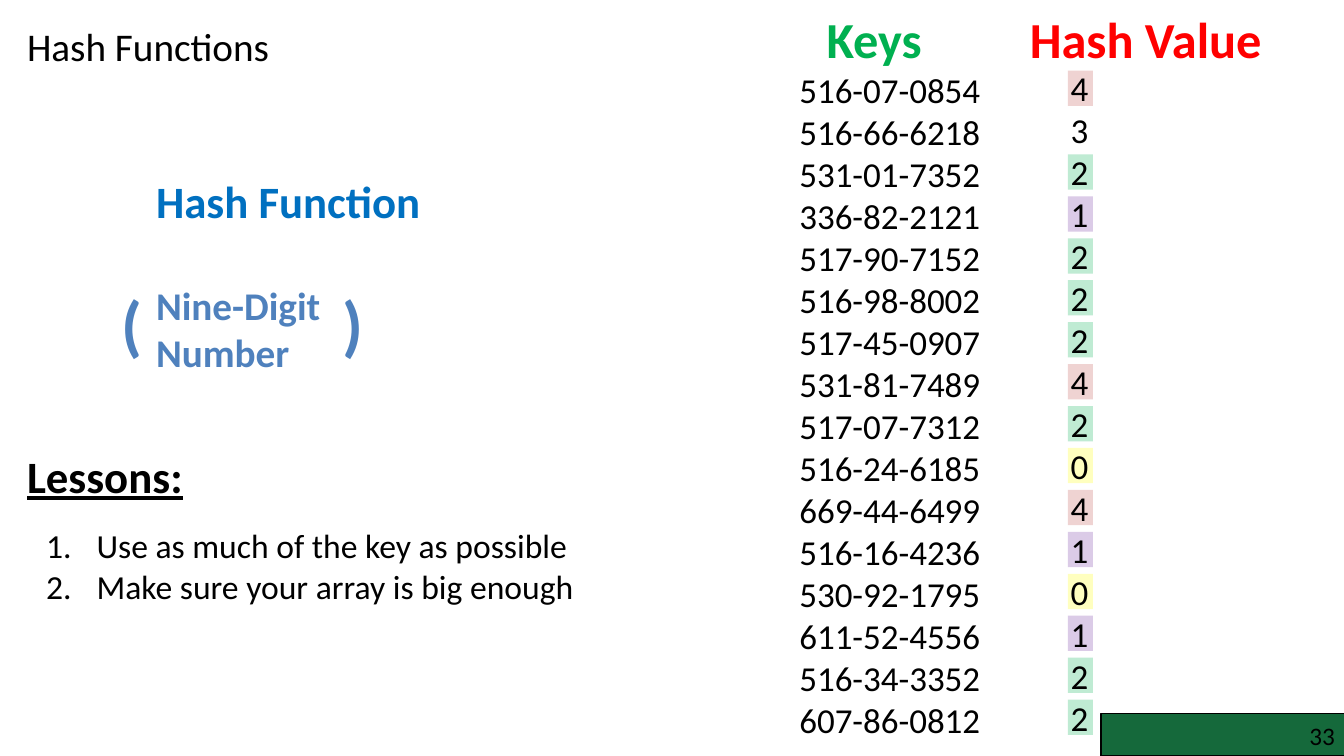
"""Build a slide on hash functions with keys and their hash values."""
from dataclasses import dataclass

from lxml.etree import SubElement
from pptx import Presentation
from pptx.dml.color import RGBColor
from pptx.enum.shapes import MSO_SHAPE
from pptx.enum.text import PP_ALIGN
from pptx.oxml.ns import qn
from pptx.util import Inches, Pt


@dataclass
class Label:
    lines: list[str]
    left: float
    top: float
    width: float
    height: float
    size: int
    color: str = "000000"
    bold: bool = False
    under: bool = False
    align: PP_ALIGN = PP_ALIGN.LEFT
    inset: bool = True
    number: bool = False


@dataclass
class Block:
    left: float
    top: float
    width: float
    height: float
    color: str
    alpha: int = 100
    edge: bool = False


ROWS = [
    ("516-07-0854", "4"), ("516-66-6218", "3"), ("531-01-7352", "2"),
    ("336-82-2121", "1"), ("517-90-7152", "2"), ("516-98-8002", "2"),
    ("517-45-0907", "2"), ("531-81-7489", "4"), ("517-07-7312", "2"),
    ("516-24-6185", "0"), ("669-44-6499", "4"), ("516-16-4236", "1"),
    ("530-92-1795", "0"), ("611-52-4556", "1"), ("516-34-3352", "2"),
    ("607-86-0812", "2"),
]
TINTS = {"0": "FFFF00", "1": "7030A0", "2": "00B050", "4": "C0504D"}
FIRST, LAST = 0.7, 6.94
STEP = (LAST - FIRST) / (len(ROWS) - 1)
BLUE = "4F81BD"

FOOTER = Block(10.92, 7.08, 2.42, 0.42, "15693B", edge=True)
MARKS = [
    Block(10.59, FIRST + row * STEP, 0.25, 0.35, TINTS[value], 25)
    for row, (key, value) in enumerate(ROWS) if value in TINTS
]
LABELS = [
    Label(["33"], 10.17, 7.15, 3.07, 0.3, 18, align=PP_ALIGN.RIGHT, inset=False),
    Label(["Hash Functions"], 0.17, 0.17, 2.93, 0.57, 28),
    Label(["Keys"], 8.1, 0.03, 2.26, 0.71, 36, "00B050", True),
    Label([key for key, value in ROWS], 7.83, 0.63, 3.17, 6.83, 25),
    Label(["Hash Value"], 9.65, 0.03, 3.43, 0.71, 36, "FF0000", True,
          align=PP_ALIGN.CENTER),
    Label(["Hash Function"], 1.45, 1.67, 3.31, 0.64, 32, "0070C0", True),
    Label(["Lessons:"], 0.17, 4.4, 2.17, 0.64, 32, bold=True, under=True),
    Label(["Nine-Digit", "Number"], 1.45, 2.74, 2.06, 1.04, 28, BLUE, True),
    Label(["("], 1.11, 2.75, 0.41, 0.91, 48, BLUE, True),
    Label([")"], 3.3, 2.75, 0.41, 0.91, 48, BLUE, True),
    Label(["Use as much of the key as possible",
           "Make sure your array is big enough"],
          0.36, 5.16, 6, 0.91, 24, number=True),
    Label([value for key, value in ROWS], 10.52, 0.61, 0.96, 6.83, 25),
]


def paint(target, color: str) -> None:
    target.solid()
    target.fore_color.rgb = RGBColor.from_string(color)


def place(item: Label | Block) -> tuple:
    return tuple(map(Inches, (item.left, item.top, item.width, item.height)))


def draw_block(slide, block: Block) -> None:
    shape = slide.shapes.add_shape(MSO_SHAPE.RECTANGLE, *place(block))
    shape.shadow.inherit = False
    paint(shape.fill, block.color)
    if block.alpha < 100:
        color = shape._element.spPr.find(f".//{qn('a:srgbClr')}")
        SubElement(color, qn("a:alpha"), val=str(block.alpha * 1000))
    if block.edge:
        paint(shape.line.fill, "000000")
        shape.line.width = Pt(1)
    else:
        shape.line.fill.background()


def draw_label(slide, label: Label) -> None:
    frame = slide.shapes.add_textbox(*place(label)).text_frame
    frame.word_wrap = True
    if not label.inset:
        frame.margin_left = frame.margin_right = 0
        frame.margin_top = frame.margin_bottom = 0
    frame.text = "\n".join(label.lines)
    for para in frame.paragraphs:
        para.alignment = label.align
        if label.number:
            props = para._p.get_or_add_pPr()
            props.set("marL", str(Inches(0.5)))
            props.set("indent", str(-Inches(0.5)))
            SubElement(props, qn("a:buAutoNum"), type="arabicPeriod")
        font = para.font
        font.name = "Calibri"
        font.size = Pt(label.size)
        font.bold = label.bold
        font.underline = label.under
        paint(font.fill, label.color)


def main() -> None:
    deck = Presentation()
    deck.slide_width, deck.slide_height = Inches(13.33), Inches(7.5)
    slide = deck.slides.add_slide(deck.slide_layouts[6])
    for block in [FOOTER, *MARKS]:
        draw_block(slide, block)
    for label in LABELS:
        draw_label(slide, label)
    deck.save("out.pptx")


if __name__ == "__main__":
    main()
